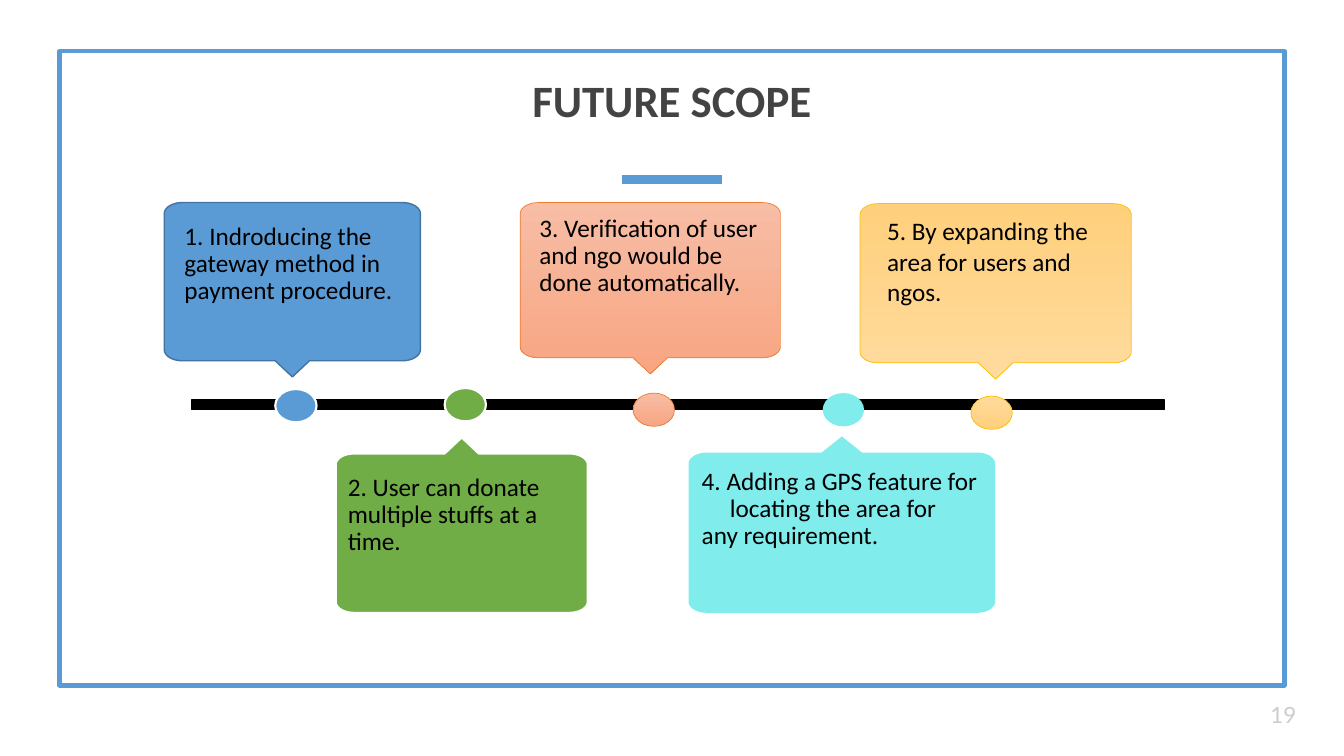
from dataclasses import dataclass
from math import cos, radians, sin

from lxml import etree
from pptx import Presentation
from pptx.dml.color import RGBColor
from pptx.enum.shapes import MSO_CONNECTOR, MSO_SHAPE
from pptx.enum.text import MSO_ANCHOR, PP_ALIGN
from pptx.oxml.ns import qn
from pptx.util import Pt

RECT, OVAL = MSO_SHAPE.RECTANGLE, MSO_SHAPE.OVAL
STRAIGHT = MSO_CONNECTOR.STRAIGHT
LEFT, CENTER = PP_ALIGN.LEFT, PP_ALIGN.CENTER
TOP, MIDDLE, BOTTOM = MSO_ANCHOR.TOP, MSO_ANCHOR.MIDDLE, MSO_ANCHOR.BOTTOM
PX = 9144  # EMU per px, 100 px to the inch


@dataclass(frozen=True)
class Theme:
    blue: str = "5B9BD5"
    blue_edge: str = "43739E"
    green: str = "70AD47"
    aqua: str = "81ECEC"
    coral: tuple = ("F7BDA5", "F8A582")
    coral_edge: str = "ED7D31"
    gold: tuple = ("FFDB9E", "FFD07C")
    gold_edge: str = "FFC000"
    black: str = "000000"
    white: str = "FFFFFF"
    heading: str = "434343"
    muted: str = "CCCCCC"
    font: str = "Calibri"
    number_font: str = "Lato"
    title_size: int = 32
    body_size: int = 18
    number_size: int = 16


class Deck:
    def __init__(self, theme, width, height):
        self.theme = theme
        self.prs = Presentation()
        self.prs.slide_width, self.prs.slide_height = width * PX, height * PX
        self.s = self.prs.slides.add_slide(self.prs.slide_layouts[6])

    def paint(self, sp, fill=None, line=None, weight=1):
        """Fill with one colour, a top-to-bottom pair, or nothing."""
        sp.shadow.inherit = False
        if fill is None:
            sp.fill.background()
        elif isinstance(fill, tuple):
            sp.fill.gradient()
            sp.fill.gradient_angle = 270
            for stop, color in zip(sp.fill.gradient_stops, fill):
                stop.color.rgb = RGBColor.from_string(color)
        else:
            sp.fill.solid()
            sp.fill.fore_color.rgb = RGBColor.from_string(fill)
        if line is None:
            sp.line.fill.background()
        else:
            sp.line.color.rgb = RGBColor.from_string(line)
            sp.line.width = Pt(weight)

    def shape(self, kind, box, **style):
        sp = self.s.shapes.add_shape(kind, *(v * PX for v in box))
        self.paint(sp, **style)

    def line(self, x1, y1, x2, y2, color, weight):
        cx = self.s.shapes.add_connector(STRAIGHT, x1 * PX, y1 * PX, x2 * PX, y2 * PX)
        cx.line.color.rgb = RGBColor.from_string(color)
        cx.line.width = Pt(weight)
        etree.SubElement(cx._element.spPr, qn("a:effectLst"))

    def balloon(self, box, half, up=False, rx=18, ry=11, tail=16, **style):
        """Rounded box with a centred tail, half as wide each way as given."""
        x, y, w, h = box
        mid, right, bottom = x + w / 2, x + w, y + h
        corners = [(x + rx, y + ry, 180), (right - rx, y + ry, 270),
                   (right - rx, bottom - ry, 0), (x + rx, bottom - ry, 90)]
        pts = []
        for i, (cx, cy, start) in enumerate(corners):
            angles = [radians(start + step) for step in range(0, 91, 10)]
            pts += [(cx + rx * cos(a), cy + ry * sin(a)) for a in angles]
            if up and i == 0:
                pts += [(mid - half, y), (mid, y - tail), (mid + half, y)]
            if not up and i == 2:
                pts += [(mid + half, bottom), (mid, bottom + tail), (mid - half, bottom)]
        pts = [(px * PX, py * PX) for px, py in pts]
        fb = self.s.shapes.build_freeform(*pts[0])
        fb.add_line_segments(pts[1:], close=True)
        self.paint(fb.convert_to_shape(), **style)

    def text(self, box, lines, inset=(13, 13), anchor=TOP, align=LEFT,
             spacing=0.9, indents=(), **font):
        tf = self.s.shapes.add_textbox(*(v * PX for v in box)).text_frame
        dx, dy = (v * PX for v in inset)
        frame = {"word_wrap": True, "vertical_anchor": anchor, "margin_left": dx,
                 "margin_right": dx, "margin_top": dy, "margin_bottom": dy}
        for name, value in frame.items():
            setattr(tf, name, value)
        look = {"name": self.theme.font, "size": self.theme.body_size,
                "color": self.theme.black, "bold": False} | font
        color, size = look.pop("color"), look.pop("size")
        for i, words in enumerate(lines):
            p = tf.paragraphs[0] if i == 0 else tf.add_paragraph()
            p.alignment, p.line_spacing = align, spacing
            if i < len(indents) and indents[i]:
                p._p.get_or_add_pPr().set("marL", str(indents[i] * PX))
            r = p.add_run()
            r.text = words
            r.font.size = Pt(size)
            r.font.color.rgb = RGBColor.from_string(color)
            for name, value in look.items():
                setattr(r.font, name, value)


def main():
    t = Theme()
    deck = Deck(t, 1333, 750)

    # Frame, title and accent
    deck.shape(RECT, (59, 51, 1215, 629), line=t.blue, weight=3)
    deck.line(617, 178, 716, 178, t.blue, 6)
    deck.text((0, 6, 1333, 133), ["FUTURE SCOPE"], anchor=BOTTOM, align=CENTER,
              size=t.title_size, color=t.heading, bold=True)

    # Timeline bar
    deck.shape(RECT, (190, 397, 965, 9), fill=t.black, line=t.black)

    # Steps: balloon, tail half width, up, balloon style, dot place, dot style,
    # text box, lines, extra text format
    blue = {"fill": t.blue, "line": t.blue_edge}
    blue_dot = {"fill": t.blue, "line": t.white, "weight": 1.5}
    green = blue_dot | {"fill": t.green}
    coral = {"fill": t.coral, "line": t.coral_edge, "weight": 0.5}
    aqua = {"fill": t.aqua}
    gold_dot = {"fill": t.gold, "line": t.gold_edge, "weight": 0.5}
    gold = gold_dot | {"fill": t.gold[::-1]}
    steps = [
        ((163, 201, 254, 157), 17, False, blue, (273, 386), blue_dot,
         (170, 209, 240, 124),
         ["1. Indroducing the gateway method in payment procedure."], {}),
        ((333, 450, 250, 158), 17, True, green, (441, 385), green,
         (332, 458, 250, 126), ["2. User can donate multiple stuffs at a time."], {}),
        ((516, 201, 258, 154), 17, False, coral, (628, 390), coral,
         (522, 201, 248, 126),
         ["3. Verification of user and ngo would be done automatically."], {}),
        ((683, 449, 304, 159), 20, True, aqua, (816, 390), aqua,
         (683, 452, 301, 139),
         ["4. Adding a GPS feature for", "locating the area for", "any requirement."],
         {"indents": (0, 28)}),
        ((853, 202, 269, 158), 17, False, gold, (963, 393), gold_dot,
         (870, 209, 251, 131), ["5. By expanding the area for users and ngos."],
         {"inset": (10, 5), "spacing": 1.0}),
    ]
    for box, half, up, style, dot, dot_style, text_box, lines, extra in steps:
        deck.balloon(box, half, up, **style)
        deck.shape(OVAL, (*dot, 41, 33), **dot_style)
        deck.text(text_box, lines, **extra)

    # Slide number
    deck.text((1247, 680, 80, 57), ["19"], anchor=MIDDLE, spacing=1.0,
              name=t.number_font, size=t.number_size, color=t.muted)

    deck.prs.save("out.pptx")


if __name__ == "__main__":
    main()
